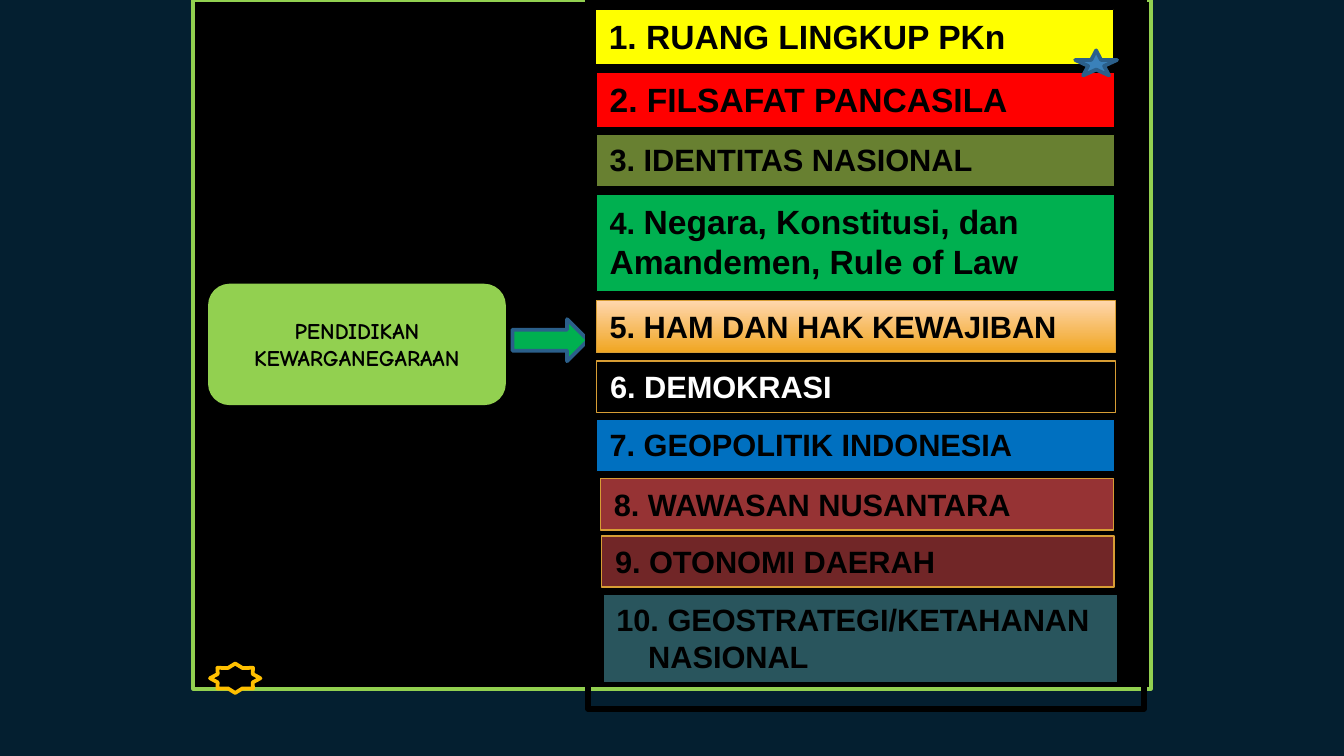
from dataclasses import dataclass

from pptx import Presentation
from pptx import util as u
from pptx.dml.color import RGBColor
from pptx.enum import shapes, text


@dataclass(frozen=True)
class Theme:
    navy: str = "041F30"
    black: str = "000000"
    white: str = "FFFFFF"
    lime: str = "92D050"
    green: str = "00B050"
    yellow: str = "FFFF00"
    red: str = "FF0000"
    olive: str = "688031"
    blue: str = "0070C0"
    brick: str = "963334"
    maroon: str = "712627"
    teal: str = "29555D"
    amber: str = "F0A621"
    peach: str = "FFD6AD"
    gold: str = "D79D34"
    bright_gold: str = "FFC000"
    star: str = "3A81BA"
    steel: str = "2B5F8A"
    body_font: str = "Arial"
    label_font: str = "Comic Neue"
    large: float = 18
    medium: float = 16.5
    small: float = 12
    hairline: float = 0.75
    outline: float = 2
    frame: float = 3


THEME = Theme()
COLUMNS, ROWS = 160, 90
MSO = shapes.MSO_SHAPE


def add_run(p, words, *, size, font=THEME.body_font, color=THEME.black, bold=True):
    r = p.add_run()
    r.text = words
    r.font.size = u.Pt(size)
    r.font.name = font
    r.font.bold = bold
    r.font.color.rgb = RGBColor.from_string(color)
    return r


class SlideBuilder:
    def __init__(self, prs, theme):
        self.theme = theme
        self.cell_w = prs.slide_width / COLUMNS
        self.cell_h = prs.slide_height / ROWS
        self.s = prs.slides.add_slide(prs.slide_layouts[6])
        fill = self.s.background.fill
        fill.solid()
        fill.fore_color.rgb = RGBColor.from_string(theme.navy)

    def shape(self, kind, col, row, cols, rows, fill, line, width):
        sp = self.s.shapes.add_shape(
            kind, round(col * self.cell_w), round(row * self.cell_h),
            round(cols * self.cell_w), round(rows * self.cell_h))
        sp.shadow.inherit = False
        if fill is None:
            sp.fill.background()
        elif isinstance(fill, tuple):
            sp.fill.gradient()
            sp.fill.gradient_angle = 90
            for position, (stop, color) in enumerate(zip(sp.fill.gradient_stops, fill)):
                stop.color.rgb = RGBColor.from_string(color)
                stop.position = position
        else:
            sp.fill.solid()
            sp.fill.fore_color.rgb = RGBColor.from_string(fill)
        sp.line.color.rgb = RGBColor.from_string(line)
        sp.line.width = u.Pt(width)
        return sp

    def paragraph(self, sp, anchor, align):
        tf = sp.text_frame
        tf.word_wrap = True
        tf.vertical_anchor = anchor
        p = tf.paragraphs[0]
        p.alignment = align
        return p

    def label(self, words, col, row, cols, rows):
        t = self.theme
        sp = self.shape(MSO.ROUNDED_RECTANGLE, col, row, cols, rows, t.lime, t.lime, t.outline)
        p = self.paragraph(sp, text.MSO_ANCHOR.MIDDLE, text.PP_ALIGN.CENTER)
        add_run(p, words, size=t.small, font=t.label_font)

    def topic(self, number, title, col, row, cols, rows, fill, number_size, title_size,
              line=THEME.black, color=THEME.black, hanging=0):
        sp = self.shape(MSO.RECTANGLE, col, row, cols, rows, fill, line, self.theme.hairline)
        p = self.paragraph(sp, text.MSO_ANCHOR.TOP, text.PP_ALIGN.LEFT)
        if hanging:
            indent = round(hanging * self.cell_w)
            pPr = p._p.get_or_add_pPr()
            pPr.set("marL", str(indent))
            pPr.set("indent", str(-indent))
        if number_size == title_size:
            add_run(p, f"{number}. {title}", size=title_size, color=color)
        else:
            add_run(p, f"{number}. ", size=number_size, color=color)
            add_run(p, title, size=title_size, color=color)


def main():
    t = THEME
    big, mid = (t.large, t.large), (t.medium, t.medium)
    gold = {"line": t.gold}
    topics = [
        ("RUANG LINGKUP PKn", 70.9, 1.1, 61.7, 6.65, t.yellow, big, {}),
        ("FILSAFAT PANCASILA", 71, 8.6, 61.7, 6.65, t.red, big, {}),
        ("IDENTITAS NASIONAL", 71, 16, 61.7, 6.2, t.olive, mid, {}),
        ("Negara, Konstitusi, dan Amandemen, Rule of Law", 71, 23.1, 61.7, 11.65, t.green,
         (t.medium, t.large), {}),
        ("HAM DAN HAK KEWAJIBAN", 71, 35.8, 61.8, 6.2, (t.amber, t.peach), mid, gold),
        ("DEMOKRASI", 71.05, 43, 61.75, 6.1, t.black, mid, {**gold, "color": t.white}),
        ("GEOPOLITIK INDONESIA", 71, 49.95, 61.7, 6.2, t.blue, mid, {}),
        ("WAWASAN NUSANTARA", 71.5, 57, 61.1, 6.1, t.brick, mid, gold),
        ("OTONOMI DAERAH", 71.65, 63.8, 61, 6.1, t.maroon, mid, gold),
        ("GEOSTRATEGI/KETAHANAN NASIONAL", 71.8, 70.75, 61.3, 10.5, t.teal, mid,
         {"hanging": 3.8}),
    ]

    prs = Presentation()
    prs.slide_width = u.Inches(10)
    prs.slide_height = prs.slide_width * 9 // 16
    page = SlideBuilder(prs, t)
    page.shape(MSO.RECTANGLE, 23, 0, 114, 82, t.black, t.lime, t.outline)
    page.label("PENDIDIKAN KEWARGANEGARAAN", 25, 34, 35, 14)
    page.shape(MSO.RIGHT_ARROW, 61, 38, 9, 5, t.green, t.steel, t.outline)
    page.shape(MSO.RECTANGLE, 70, 0, 66.2, 84.4, None, t.black, t.frame)
    for number, (title, col, row, cols, rows, fill, sizes, style) in enumerate(topics, 1):
        page.topic(number, title, col, row, cols, rows, fill, *sizes, **style)
    page.shape(MSO.STAR_5_POINT, 128, 6, 5, 3, t.star, t.steel, t.outline)
    page.shape(MSO.STAR_8_POINT, 25, 79, 6, 3.5, t.black, t.bright_gold, t.outline)
    prs.save("out.pptx")


if __name__ == "__main__":
    main()
